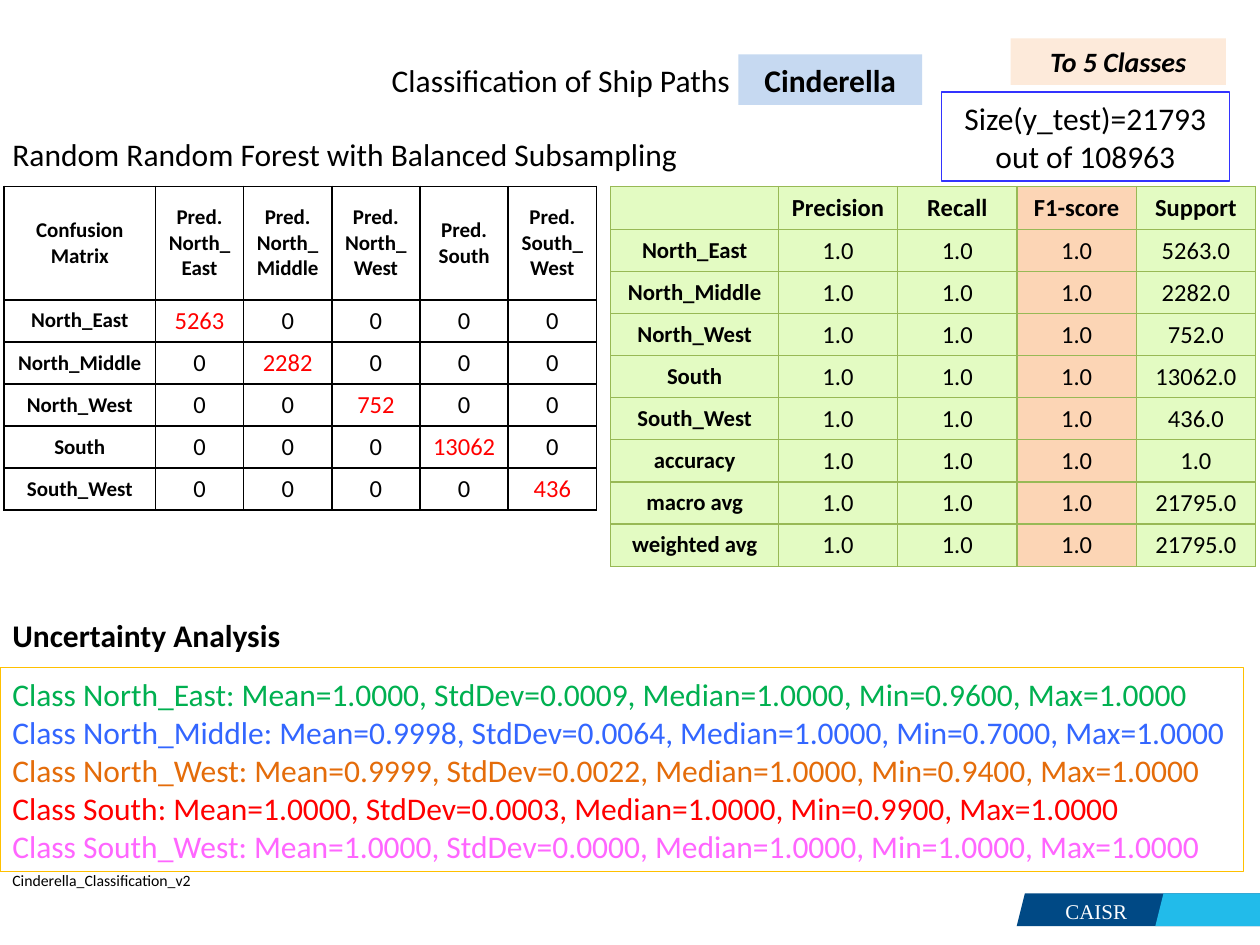
"""Build the ship path classification results slide."""
from lxml import etree
from pptx import Presentation
from pptx.dml.color import RGBColor
from pptx.enum.shapes import MSO_SHAPE
from pptx.enum.text import MSO_ANCHOR, MSO_AUTO_SIZE, PP_ALIGN
from pptx.oxml.ns import qn
from pptx.util import Pt

RECTANGLE, PARALLELOGRAM = MSO_SHAPE.RECTANGLE, MSO_SHAPE.PARALLELOGRAM
MIDDLE, NO_RESIZE = MSO_ANCHOR.MIDDLE, MSO_AUTO_SIZE.NONE
LEFT, CENTER = PP_ALIGN.LEFT, PP_ALIGN.CENTER


def rgb(value):
    return RGBColor.from_string(value)


def write_text(frame, text, size=18, colors=("000000",), bold=False,
               italic=False, align=LEFT, font="Calibri"):
    frame.word_wrap = True
    frame.vertical_anchor = MIDDLE
    for index, line in enumerate(text.split("\n")):
        para = frame.add_paragraph() if index else frame.paragraphs[0]
        para.alignment = align
        span = para.add_run()
        span.text = line
        span.font.name = font
        span.font.size = Pt(size)
        span.font.bold = bold
        span.font.italic = italic
        span.font.color.rgb = rgb(colors[index % len(colors)])


deck = Presentation()
deck.slide_width, deck.slide_height = Pt(720), Pt(540)
page = deck.slides.add_slide(deck.slide_layouts[5])

title = page.shapes.title
title.left, title.top, title.width, title.height = Pt(200), Pt(31), Pt(241), Pt(29)
title.text_frame.auto_size = NO_RESIZE
write_text(title.text_frame, "Classification of Ship Paths", align=CENTER)

classes = ["North_East", "North_Middle", "North_West", "South", "South_West"]
class_sizes = [5263, 2282, 752, 13062, 436]
statistics = [
    ("1.0000", "0.0009", "1.0000", "0.9600", "1.0000"),
    ("0.9998", "0.0064", "1.0000", "0.7000", "1.0000"),
    ("0.9999", "0.0022", "1.0000", "0.9400", "1.0000"),
    ("1.0000", "0.0003", "1.0000", "0.9900", "1.0000"),
    ("1.0000", "0.0000", "1.0000", "1.0000", "1.0000"),
]
measures = ["Mean", "StdDev", "Median", "Min", "Max"]
uncertainty = "\n".join(
    f"Class {name}: " + ", ".join(f"{measure}={value}" for measure, value in zip(measures, values))
    for name, values in zip(classes, statistics))
class_colors = ["00B050", "3366FF", "E46C0A", "FF0000", "FF66FF"]

shapes = [
    (PARALLELOGRAM, 581, 510.5, 147.6, 18.7, "004985", None, "", {}),
    (None, 569.5, 506, 113.8, 28.8, None, None, "CAISR",
     dict(size=12, colors=["FFFFFF"], align=CENTER, font="Times New Roman")),
    (PARALLELOGRAM, 660.2, 510.5, 73.4, 18.7, "22BBEA", None, "", {}),
    (RECTANGLE, 0, 381.6, 710.6, 116.6, None, "FFC000", uncertainty, dict(colors=class_colors)),
    (None, 0, 348, 169, 29, None, None, "Uncertainty Analysis", dict(bold=True)),
    (None, 0, 73.5, 428, 29, None, None, "Random Random Forest with Balanced Subsampling", {}),
    (None, 0, 494, 124, 18, None, None, "Cinderella_Classification_v2", dict(size=9)),
    (RECTANGLE, 538, 52.5, 164.5, 51, None, "3333FF", "Size(y_test)=21793 out of 108963",
     dict(align=CENTER)),
    (RECTANGLE, 577.5, 22, 123, 26.6, "FDEADA", None, "To 5 Classes",
     dict(size=16, bold=True, italic=True, align=CENTER)),
    (RECTANGLE, 422, 31, 105, 29, "C6D9F1", None, "Cinderella", dict(bold=True, align=CENTER)),
]
for preset, left, top, width, height, fill, line, text, style in shapes:
    place = Pt(left), Pt(top), Pt(width), Pt(height)
    if preset is None:
        box = page.shapes.add_textbox(*place)
    else:
        box = page.shapes.add_shape(preset, *place)
        box.shadow.inherit = False
        if fill:
            box.fill.solid()
            box.fill.fore_color.rgb = rgb(fill)
        else:
            box.fill.background()
        if line:
            box.line.color.rgb = rgb(line)
            box.line.width = Pt(0.75)
        else:
            box.line.fill.background()
    if text:
        write_text(box.text_frame, text, **style)

scores = [["", "Precision", "Recall", "F1-score", "Support"]]
supports = class_sizes + [1, 21795, 21795]
for name, support in zip(classes + ["accuracy", "macro avg", "weighted avg"], supports):
    scores.append([name, "1.0", "1.0", "1.0", f"{support}.0"])

confusion = [["Confusion Matrix"] + [f"Pred.\n{name}" for name in classes]]
for row, name in enumerate(classes):
    counts = [str(class_sizes[row]) if column == row else "0" for column in range(len(classes))]
    confusion.append([name] + counts)

score_fills = ["E3FBC2"] * 3 + ["FCD5B5", "E3FBC2"]
tables = [
    (scores, 349, [95.8] + [68.2] * 4, 24.7, 14, 13, score_fills, "98B955", 0.75, False),
    (confusion, 2.4, [86.4] + [50.4] * 5, 64.8, 12, 12, None, "000000", 1, True),
]
for (rows, left, widths, head_height, head_size, label_size,
     fills, border, weight, mark_diagonal) in tables:
    heights = [head_height] + [24.05] * (len(rows) - 1)
    grid = page.shapes.add_table(len(rows), len(widths), Pt(left), Pt(106.5),
                                 Pt(sum(widths)), Pt(sum(heights))).table
    grid.first_row = grid.horz_banding = False
    for column, width in enumerate(widths):
        grid.columns[column].width = Pt(width)
    for row, values in enumerate(rows):
        grid.rows[row].height = Pt(heights[row])
        for column, value in enumerate(values):
            cell = grid.cell(row, column)
            cell.margin_top = cell.margin_bottom = 0
            cell.vertical_anchor = MIDDLE
            if fills:
                cell.fill.solid()
                cell.fill.fore_color.rgb = rgb(fills[column])
            else:
                cell.fill.background()
            size = head_size if row == 0 else label_size if column == 0 else 14
            diagonal = mark_diagonal and row == column > 0
            if value:
                write_text(cell.text_frame, value, size=size, align=CENTER,
                           bold=row == 0 or column == 0,
                           colors=["FF0000" if diagonal else "000000"])
            properties = cell._tc.get_or_add_tcPr()
            for index, side in enumerate(("a:lnL", "a:lnR", "a:lnT", "a:lnB")):
                edge = etree.Element(qn(side), w=str(Pt(weight)))
                solid = etree.SubElement(edge, qn("a:solidFill"))
                etree.SubElement(solid, qn("a:srgbClr"), val=border)
                properties.insert(index, edge)

deck.save("out.pptx")
